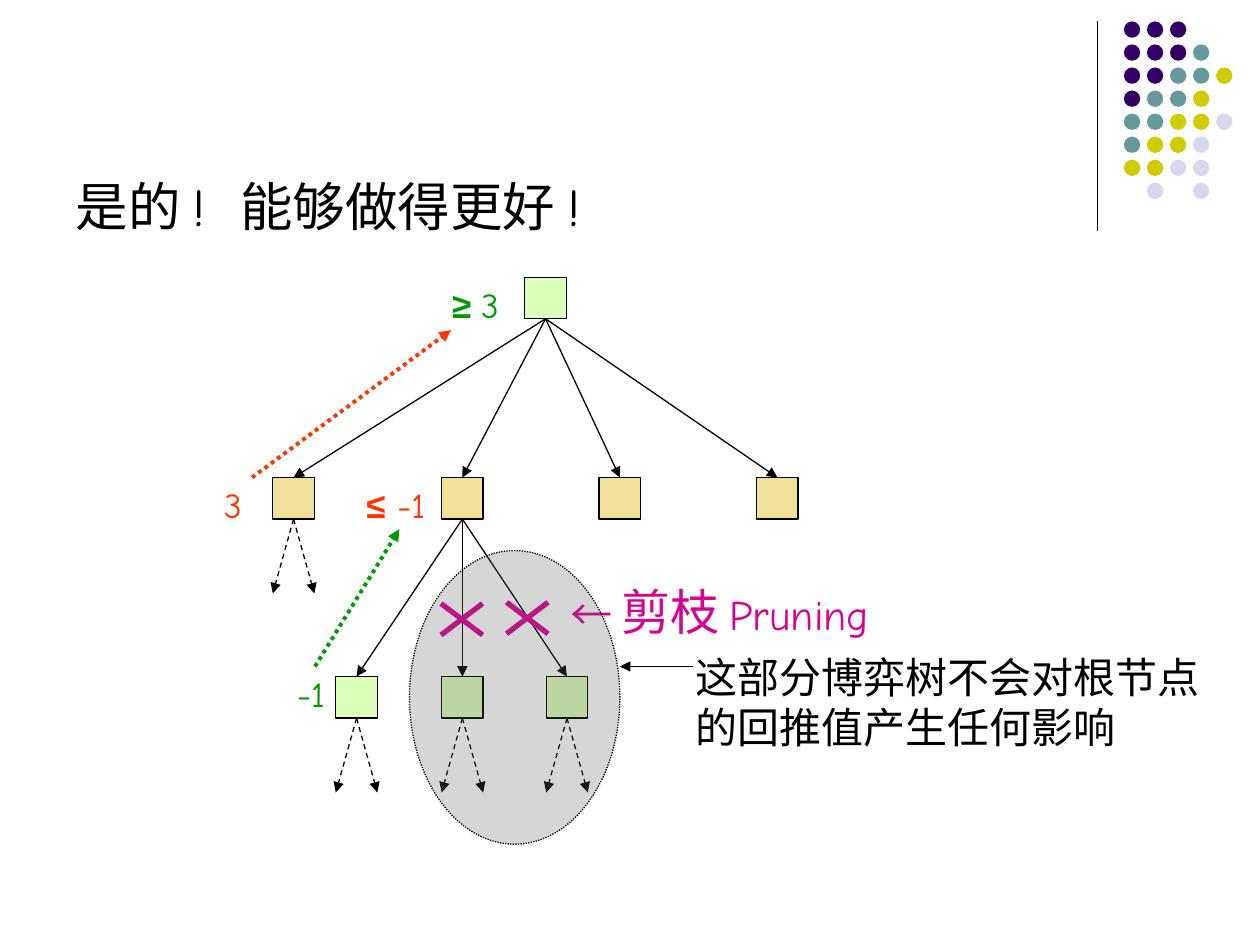
from dataclasses import dataclass

from lxml.etree import SubElement
from pptx import Presentation
from pptx.dml.color import RGBColor
from pptx.enum.dml import MSO_LINE
from pptx.enum.shapes import MSO_CONNECTOR, MSO_SHAPE
from pptx.enum.text import MSO_ANCHOR, MSO_AUTO_SIZE, PP_ALIGN
from pptx.oxml.ns import qn
from pptx.util import Inches, Pt


@dataclass(frozen=True)
class Theme:
    black: str = "000000"
    max_node: str = "DCFFB9"
    min_node: str = "F0E09A"
    red: str = "FF3300"
    green: str = "009900"
    pruning: str = "D60093"
    shade: str = "5F5F5F"
    purple: str = "330066"
    teal: str = "669999"
    olive: str = "CCCC00"
    lavender: str = "D8D8EC"
    font: str = "Comic Neue"
    symbol_font: str = "Arial"
    title_size: int = 30
    pruning_size: int = 28
    note_size: int = 24
    value_size: int = 20
    thin: float = 0.75
    dotted: float = 2.25
    thick: float = 3


THEME = Theme()
NODE_SIDE = 0.33
ROOT_X, ROOT_TOP = 4.33, 2.2
MIN_XS, MIN_TOP = (2.33, 3.67, 4.92, 6.17), 3.79
MAX_XS, MAX_TOP = (2.83, 3.67, 4.5), 5.37
DOT_ROWS = ("PPP", "PPPT", "PPTTO", "PTTO", "TTOOL", "TOOL", "OOLL", " L L")
DOT_COLORS = {"P": THEME.purple, "T": THEME.teal, "O": THEME.olive, "L": THEME.lavender}
DOT_LEFT, DOT_TOP, DOT_SIZE = 8.92, 0.17, 0.13
DOT_PITCH = 1.28 / 7


def rgb(color):
    return RGBColor.from_string(color)


def add_line(page, start, end, color=THEME.black, width=THEME.thin, dash=None, arrow=True):
    ends = [Inches(value) for value in (*start, *end)]
    line = page.shapes.add_connector(MSO_CONNECTOR.STRAIGHT, *ends)
    line.line.color.rgb = rgb(color)
    line.line.width = Pt(width)
    if dash:
        line.line.dash_style = dash
    if arrow:
        SubElement(line.line._get_or_add_ln(), qn("a:tailEnd"), type="triangle")
    SubElement(line._element.spPr, qn("a:effectLst"))


def add_shape(page, kind, left, top, width, height, fill, outlined=True):
    shape = page.shapes.add_shape(kind, *[Inches(value) for value in (left, top, width, height)])
    shape.shadow.inherit = False
    shape.fill.solid()
    shape.fill.fore_color.rgb = rgb(fill)
    if outlined:
        shape.line.color.rgb = rgb(THEME.black)
        shape.line.width = Pt(THEME.thin)
    else:
        shape.line.fill.background()
    return shape


def add_node(page, center, top, fill):
    add_shape(page, MSO_SHAPE.RECTANGLE, center - NODE_SIDE / 2, top, NODE_SIDE, NODE_SIDE, fill)


def add_branches(page, center, top, targets, target_top, dash=None):
    for target in targets:
        add_line(page, (center, top + NODE_SIDE), (target, target_top), dash=dash)


def add_stubs(page, center, top):
    targets = (center - NODE_SIDE / 2, center + NODE_SIDE / 2)
    add_branches(page, center, top, targets, top + 0.92, MSO_LINE.DASH)


def style_span(span, size, color, font=THEME.font, bold=False):
    span.font.name = font
    span.font.size = Pt(size)
    span.font.bold = bold
    span.font.color.rgb = rgb(color)


def add_text(page, left, top, width, height, color, spans, wrap=False):
    box = page.shapes.add_textbox(*[Inches(value) for value in (left, top, width, height)])
    frame = box.text_frame
    frame.word_wrap = wrap
    frame.auto_size = MSO_AUTO_SIZE.SHAPE_TO_FIT_TEXT
    for text, size, font, bold in spans:
        span = frame.paragraphs[0].add_run()
        span.text = text
        style_span(span, size, color, font, bold)


def add_value(page, left, top, width, color, number, symbol=""):
    spans = [(number, THEME.value_size, THEME.font, False)]
    if symbol:
        spans.insert(0, (symbol, THEME.value_size, THEME.symbol_font, True))
    add_text(page, left, top, width, 0.44, color, spans)


def add_cross(page, left, top):
    right, bottom = left + 0.33, top + 0.25
    for start, end in (((left, top), (right, bottom)), ((right, top), (left, bottom))):
        add_line(page, start, end, THEME.pruning, THEME.thick, arrow=False)


def add_corner_dots(page):
    add_line(page, (8.71, 0.17), (8.71, 1.83), arrow=False)
    for row, letters in enumerate(DOT_ROWS):
        for column, letter in enumerate(letters):
            if letter in DOT_COLORS:
                add_shape(page, MSO_SHAPE.OVAL, DOT_LEFT + column * DOT_PITCH,
                          DOT_TOP + row * DOT_PITCH, DOT_SIZE, DOT_SIZE,
                          DOT_COLORS[letter], outlined=False)


def set_title(page, text):
    title = page.shapes.title
    title.left, title.top, title.width, title.height = map(Inches, (0.5, 1.33, 8, 0.65))
    frame = title.text_frame
    frame.text = text
    frame.word_wrap = True
    frame.auto_size = MSO_AUTO_SIZE.NONE
    frame.vertical_anchor = MSO_ANCHOR.TOP
    para = frame.paragraphs[0]
    para.alignment = PP_ALIGN.LEFT
    style_span(para.runs[0], THEME.title_size, THEME.black)


def add_tree(page):
    add_stubs(page, MIN_XS[0], MIN_TOP)
    add_node(page, ROOT_X, ROOT_TOP, THEME.max_node)
    for center in MIN_XS:
        add_node(page, center, MIN_TOP, THEME.min_node)
    for center in MAX_XS:
        add_node(page, center, MAX_TOP, THEME.max_node)
        add_stubs(page, center, MAX_TOP)
    add_branches(page, ROOT_X, ROOT_TOP, MIN_XS, MIN_TOP)
    add_branches(page, MIN_XS[1], MIN_TOP, MAX_XS, MAX_TOP)


def add_backed_up_values(page):
    add_value(page, 1.68, MIN_TOP, 0.34, THEME.red, "3")
    add_value(page, 2.26, 5.29, 0.42, THEME.green, "-1")
    add_value(page, 2.81, MIN_TOP, 0.73, THEME.red, " -1", "≤")
    add_value(page, 3.49, ROOT_TOP, 0.66, THEME.green, "3", "≥ ")
    add_line(page, (2.5, 5.29), (3.17, 4.2), THEME.green, THEME.dotted, MSO_LINE.ROUND_DOT)
    add_line(page, (2, 3.79), (3.58, 2.62), THEME.red, THEME.dotted, MSO_LINE.ROUND_DOT)


def add_pruning(page):
    add_cross(page, 3.5, 4.79)
    add_cross(page, 4.02, 4.78)
    add_text(page, 4.43, 4.57, 2.77, 0.57, THEME.pruning, [
        ("← ", THEME.note_size, THEME.symbol_font, False),
        ("剪枝", THEME.pruning_size, THEME.font, False),
        (" Pruning", THEME.note_size, THEME.font, False),
    ])
    region = add_shape(page, MSO_SHAPE.OVAL, 3.25, 4.37, 1.67, 2.33, THEME.shade)
    region.line.dash_style = MSO_LINE.ROUND_DOT
    shade = region._element.spPr.find(qn("a:solidFill")).find(qn("a:srgbClr"))
    SubElement(shade, qn("a:alpha"), val="25000")
    add_text(page, 5.42, 5.12, 4.25, 0.9, THEME.black, [
        ("这部分博弈树不会对根节点的回推值产生任何影响", THEME.note_size, THEME.font, False),
    ], wrap=True)
    add_line(page, (5.5, 5.29), (4.92, 5.29))


def main():
    deck = Presentation()
    deck.slide_width, deck.slide_height = Inches(10), Inches(7.5)
    page = deck.slides.add_slide(deck.slide_layouts[5])
    add_corner_dots(page)
    set_title(page, "是的 !  能够做得更好 !")
    add_tree(page)
    add_backed_up_values(page)
    add_pruning(page)
    deck.save("out.pptx")


if __name__ == "__main__":
    main()
